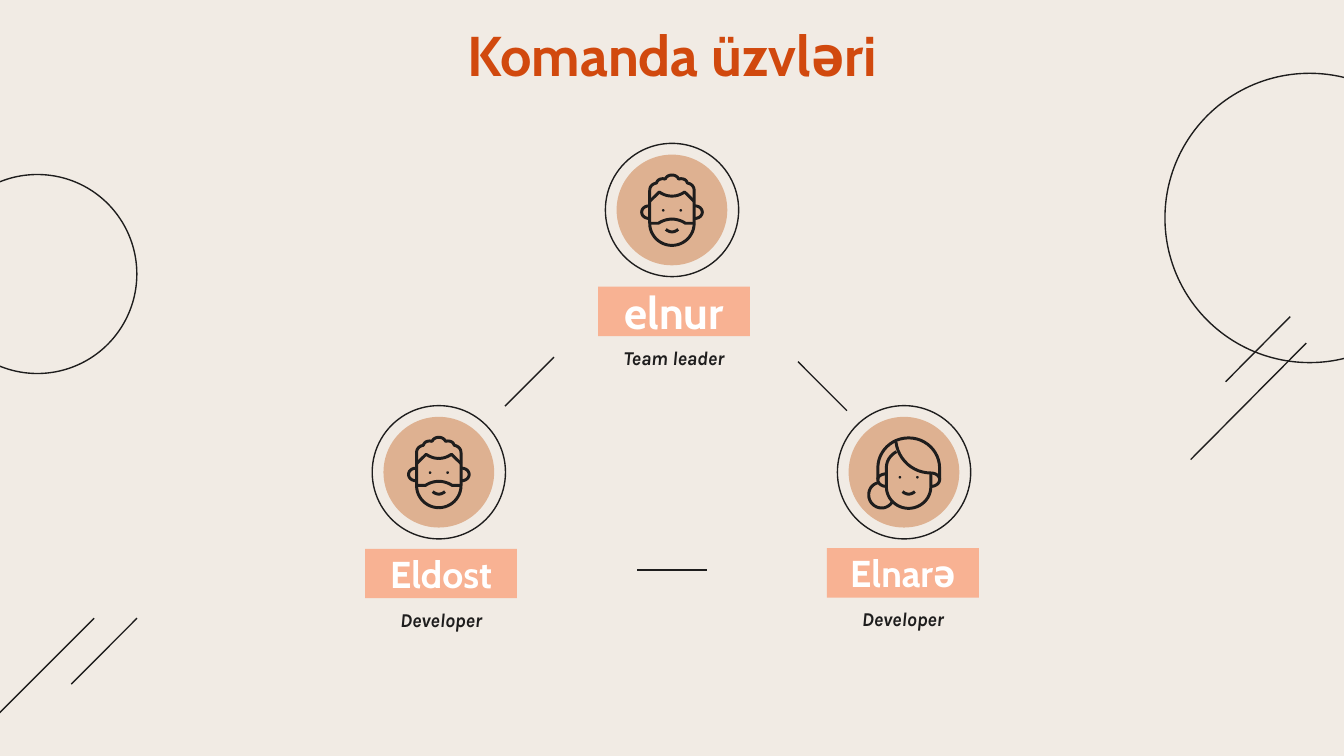
"""Build the team members slide with three portrait cards."""
import pptx
import pptx.dml.color
import pptx.enum.shapes
import pptx.enum.text
import pptx.oxml.ns
import pptx.util
import lxml.etree

Pt = pptx.util.Pt
SHAPE = pptx.enum.shapes.MSO_SHAPE
ANCHOR = pptx.enum.text.MSO_ANCHOR

COLORS = {
    "paper": "F1EBE4",
    "ink": "1E1D1D",
    "title": "D1490E",
    "label": "F8B293",
    "skin": "DEB191",
    "white": "FFFFFF",
}
TITLE = {"name": "Cabin", "size": Pt(30), "bold": True}
LEADER = {"name": "Cabin", "size": Pt(24), "bold": True}
MEMBER = {"name": "Cabin", "size": Pt(20), "bold": True}
ROLE = {"name": "Karla", "size": Pt(10.5), "bold": True, "italic": True}

MAN_HALF = [
    [(0, -18.7), [(-1.6, -18.7), (-3, -17.9), (-3.6, -16.5)],
     [(-5, -17), (-7.5, -16.8), (-8.3, -14.4)],
     [(-10.5, -14), (-11.9, -12.5), (-11.9, -10.4)], [(-11.9, 7.1)],
     [(-11.9, 13.7), (-6.6, 19), (0, 19)]],
    [(-11.9, -4.6), [(-6.8, -9.6)], [(-4.5, -8.1), (-2.5, -7.4), (0, -7.4)]],
    [(-11.9, 7.1), [(-7.2, 7.1)], [(-5, 5.7), (-2.5, 4.9), (0, 4.9)]],
    [(-11.9, -2.2), [(-17.7, -2.2), (-17.7, 4.6), (-11.9, 4.6)]],
]
WOMAN = [
    [(14.4, 7.6), [(17, 7.6), (19.1, 6), (19.1, 3.9)], [(19.1, -2.2)],
     [(19.1, -11.2), (11.6, -18.4), (2.5, -18.4)],
     [(-6.6, -18.4), (-14, -11.2), (-14, -2.2)], [(-14, 3.9)],
     [(-14, 6), (-12, 7.6), (-9.4, 7.6)]],
    [(-14, 3.9), [(-14, 2.2), (-12, 0.9), (-9.4, 0.9)]],
    [(-4, -11), [(-7.5, -9), (-9.4, -6), (-9.4, -2.2)], [(-9.4, 7.9)],
     [(-9.4, 14.2), (-4, 19.4), (2.5, 19.4)],
     [(9, 19.4), (14.4, 14.2), (14.4, 7.9)], [(14.4, 0.4)]],
    [(-4.3, -16.2), [(-3, -6.5), (5, 0.4), (14.4, 0.4)],
     [(17, 0.4), (19.1, 2), (19.1, 3.9)]],
    [(-14, 5.7), [(-17, 6.5), (-18.9, 9), (-18.9, 12.2)],
     [(-18.9, 16), (-15.8, 19.2), (-11.9, 19.2)],
     [(-9.5, 19.2), (-7.5, 17.8), (-6.3, 16)]],
]
SMILE = [(-3.3, 10.4), [(-1.2, 12.2), (1.2, 12.2), (3.3, 10.4)]]


def color(key):
    """Return the named colour."""
    return pptx.dml.color.RGBColor.from_string(COLORS[key])


def paint(shape, fill=None, line=None, width=0.75):
    """Set the fill and outline of a shape and drop its shadow."""
    shape.shadow.inherit = False
    if fill:
        shape.fill.solid()
        shape.fill.fore_color.rgb = color(fill)
    else:
        shape.fill.background()
    if line:
        shape.line.color.rgb = color(line)
        shape.line.width = Pt(width)
    else:
        shape.line.fill.background()


def add_circle(shapes, center, diameter, **style):
    """Add a circle around a centre."""
    left, top = (value - diameter / 2 for value in center)
    circle = shapes.add_shape(
        SHAPE.OVAL, Pt(left), Pt(top), Pt(diameter), Pt(diameter))
    paint(circle, **style)


def add_line(shapes, start, end, width=0.75):
    """Add a straight line."""
    line = shapes.add_connector(
        pptx.enum.shapes.MSO_CONNECTOR.STRAIGHT, *map(Pt, start + end))
    line.line.color.rgb = color("ink")
    line.line.width = Pt(width)
    lxml.etree.SubElement(
        line._element.spPr, pptx.oxml.ns.qn("a:effectLst"))


def write(box, text, font, ink, anchor=ANCHOR.MIDDLE):
    """Write one centred, formatted paragraph in a box."""
    frame = box.text_frame
    settings = {"word_wrap": True, "vertical_anchor": anchor}
    for side in ("left", "right", "top", "bottom"):
        settings["margin_" + side] = Pt(7.2)
    for name, value in settings.items():
        setattr(frame, name, value)
    para = frame.paragraphs[0]
    para.alignment = pptx.enum.text.PP_ALIGN.CENTER
    span = para.add_run()
    span.text = text
    for name, value in font.items():
        setattr(span.font, name, value)
    span.font.color.rgb = color(ink)


def bezier(points, t):
    """Return the point at t on a line or cubic curve."""
    while len(points) > 1:
        points = [(a + (c - a) * t, b + (d - b) * t)
                  for (a, b), (c, d) in zip(points, points[1:])]
    return points[0]


def add_stroke(shapes, center, stroke, flip=1):
    """Draw an open outline of lines and curves about a centre."""
    points = [stroke[0]]
    for segment in stroke[1:]:
        controls = [points[-1]] + segment
        steps = 1 if len(segment) == 1 else 12
        points += [bezier(controls, step / steps)
                   for step in range(1, steps + 1)]
    placed = [(Pt(center[0] + flip * x), Pt(center[1] + y))
              for x, y in points]
    builder = shapes.build_freeform(*placed[0])
    builder.add_line_segments(placed[1:], close=False)
    paint(builder.convert_to_shape(), line="ink", width=1.6)


def add_portrait(page, center, woman):
    """Add a ringed disc with a line-drawn face."""
    shapes = page.shapes.add_group_shape().shapes
    add_circle(shapes, center, 71.4, line="ink")
    add_circle(shapes, center, 59.3, fill="skin")
    if woman:
        face = (center[0] + 2.5, center[1])
        eye_drop = 2.7
        for stroke in WOMAN:
            add_stroke(shapes, center, stroke)
    else:
        face = center
        eye_drop = 0.2
        for stroke in MAN_HALF:
            for flip in (1, -1):
                add_stroke(shapes, center, stroke, flip)
    add_stroke(shapes, face, SMILE)
    for offset in (-4.7, 4.7):
        add_circle(shapes, (face[0] + offset, center[1] + eye_drop),
                   1.4, fill="ink")


def add_member(page, center, label, name, role, font, woman=False):
    """Add a portrait with its name label and role."""
    add_portrait(page, center, woman)
    left, top = label
    plate = page.shapes.add_shape(
        SHAPE.RECTANGLE, Pt(left), Pt(top), Pt(81.4), Pt(26.5))
    paint(plate, fill="label")
    write(plate, name, font, "white")
    box = page.shapes.add_textbox(
        Pt(left - 7.7), Pt(top + 25.2), Pt(97), Pt(26.6))
    write(box, role, ROLE, "ink", ANCHOR.TOP)


def main():
    """Build and save the slide."""
    deck = pptx.Presentation()
    deck.slide_width, deck.slide_height = Pt(720), Pt(405)
    page = deck.slides.add_slide(deck.slide_layouts[6])
    page.background.fill.solid()
    page.background.fill.fore_color.rgb = color("paper")

    add_circle(page.shapes, (701.6, 116.8), 155, line="ink")
    add_circle(page.shapes, (20, 146.8), 106.6, line="ink")
    for start, end in (
        ((-12.2, 393.8), (50.4, 331.2)),
        ((38.2, 366.5), (73.4, 331.2)),
        ((637.9, 246.2), (699.8, 183.8)),
        ((656.6, 204.5), (691.2, 169.6)),
        ((270.5, 217.6), (296.8, 191.3)),
        ((427.5, 193.8), (453.7, 220)),
    ):
        add_line(page.shapes, start, end)
    add_line(page.shapes, (341.3, 305.2), (378.7, 305.2), 1)

    title = page.shapes.add_textbox(Pt(56.7), Pt(6.5), Pt(607), Pt(45.4))
    write(title, "Komanda üzvləri", TITLE, "title")

    add_member(page, (360, 112.5), (320.4, 153.6),
               "elnur", "Team leader", LEADER)
    add_member(page, (235.1, 253), (195.6, 294),
               "Eldost", "Developer", MEMBER)
    add_member(page, (484.3, 253), (443, 293.7),
               "Elnarə", "Developer", MEMBER, woman=True)
    deck.save("out.pptx")


if __name__ == "__main__":
    main()
